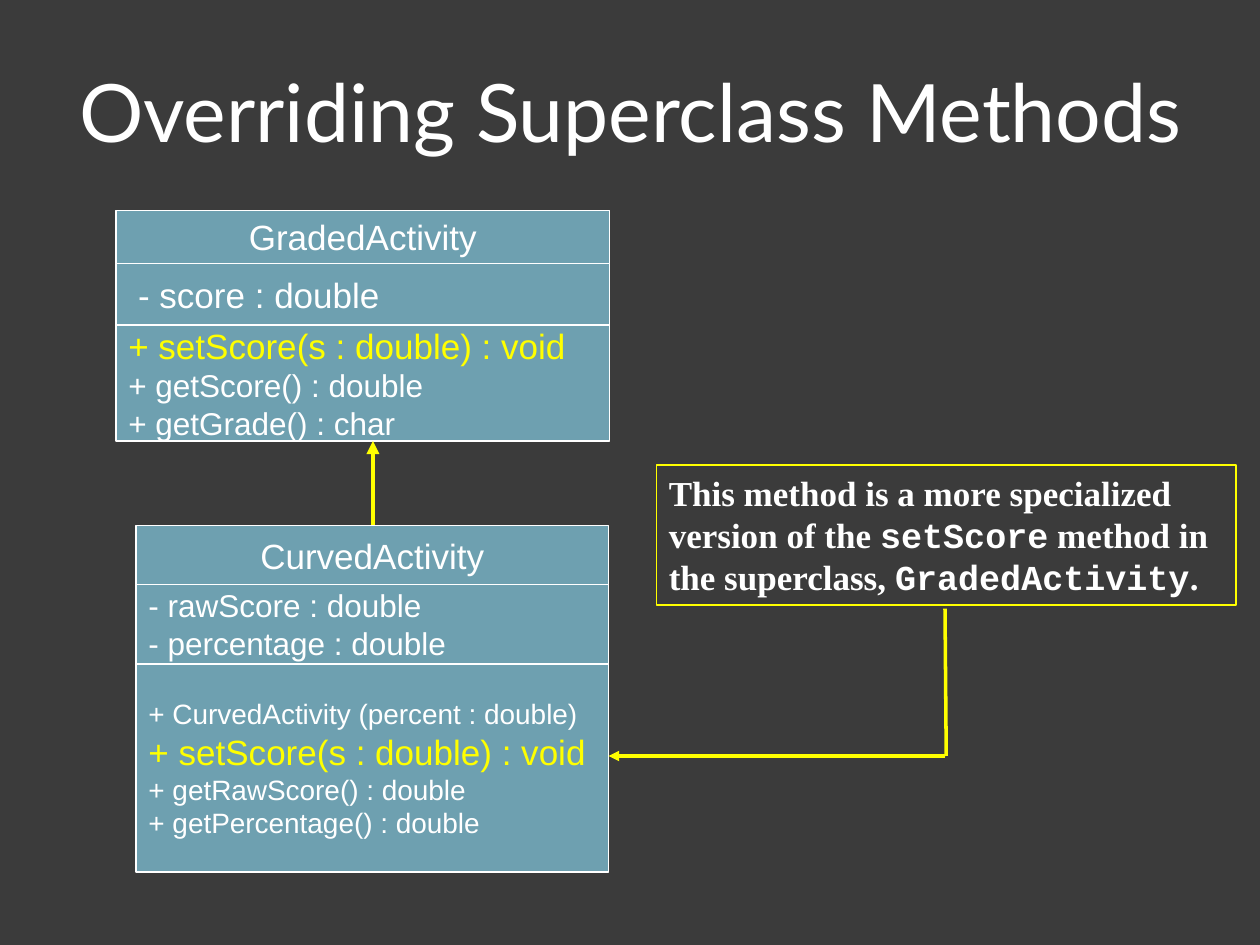
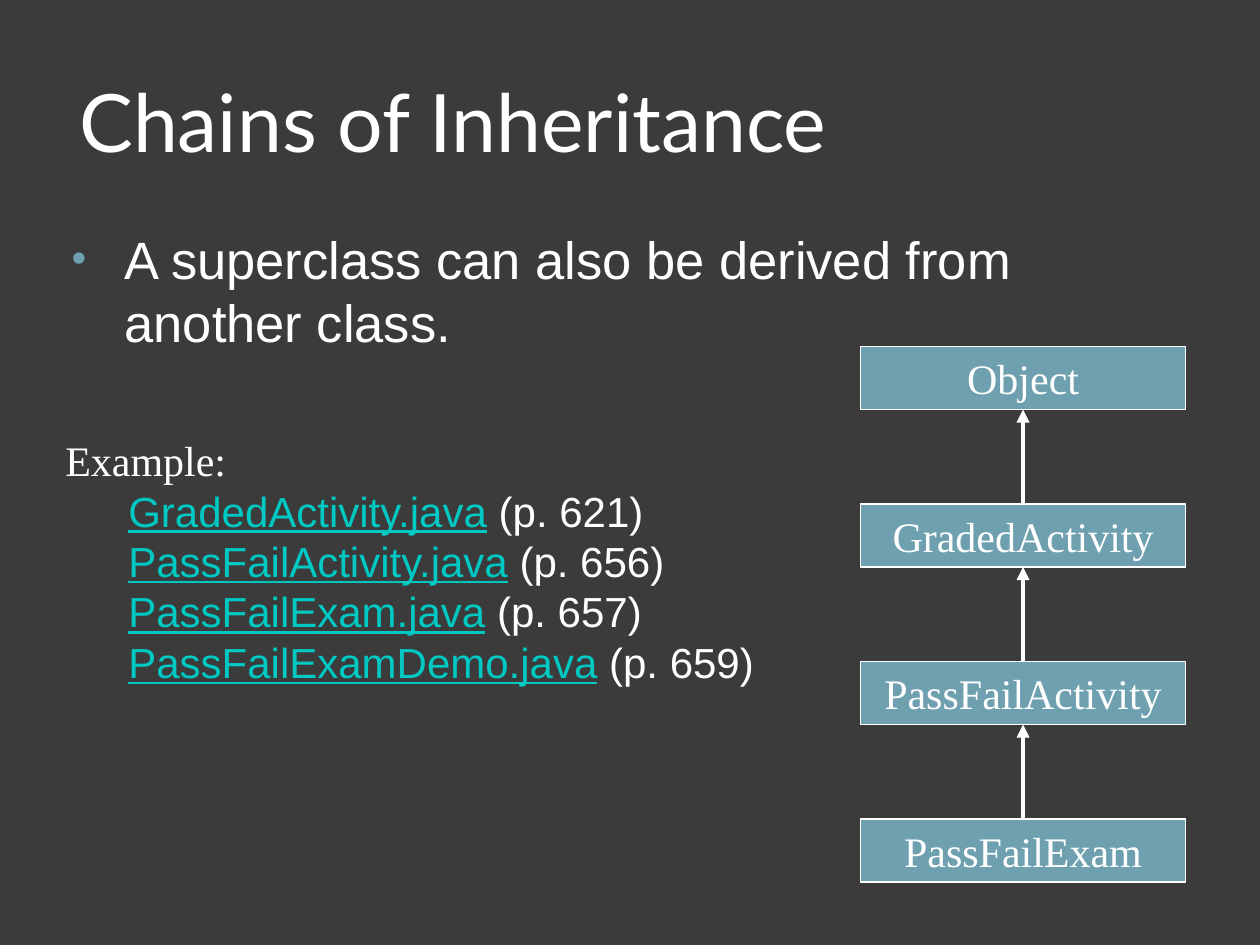
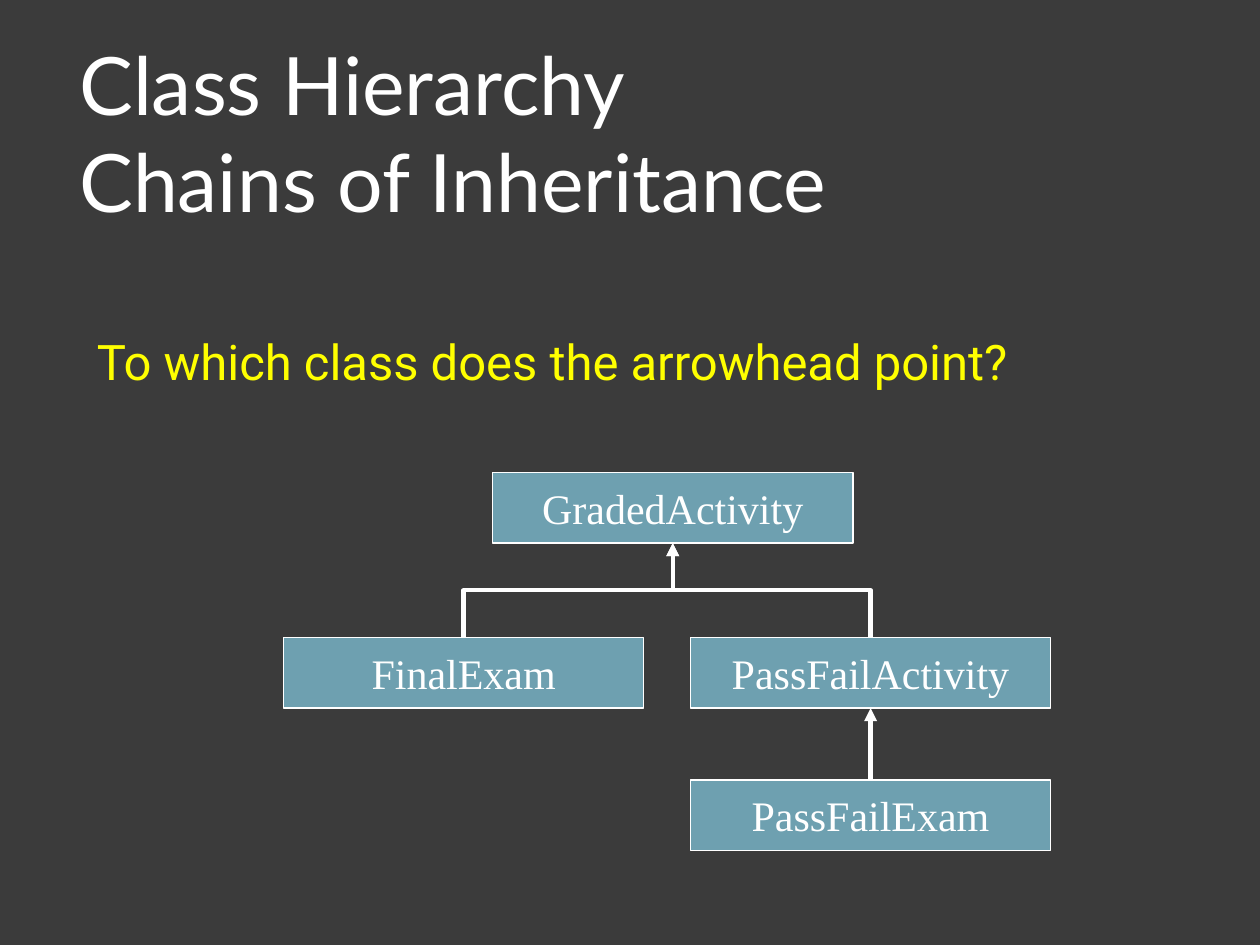
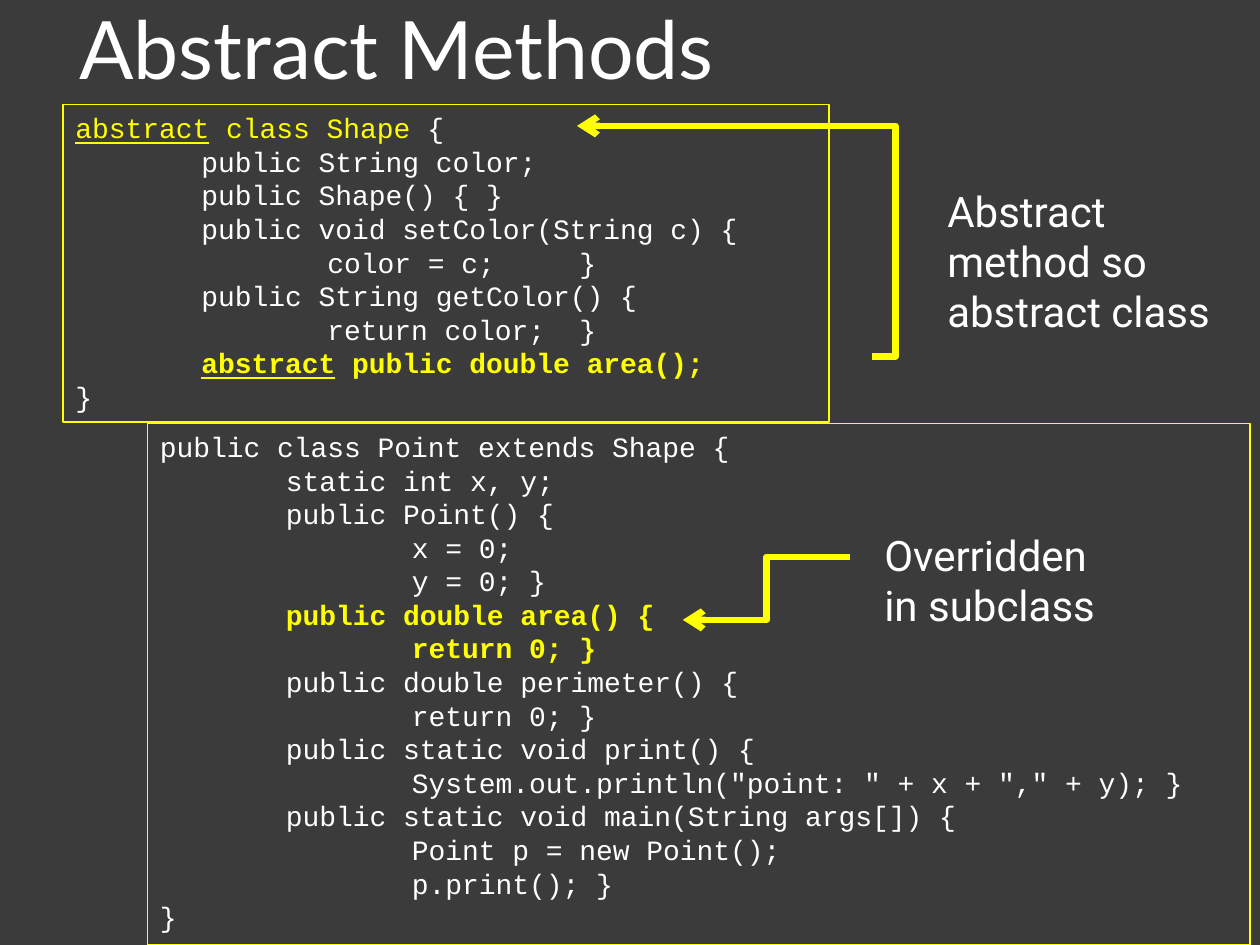
from lxml import etree
from pptx import Presentation
from pptx import util as u
from pptx.dml.color import RGBColor
from pptx.enum import shapes, text
from pptx.oxml.ns import qn

COLORS = {"back": "3B3B3B", "text": "FFFFFF", "class": "6EA0B0",
          "mark": "FFFF00", "link": "00C8C3"}
SANS, SERIF, MONO = "Arial", "Times New Roman", "Courier New"
TITLE, NOTE = "Lato", "Roboto"

# Run styles that differ from the style of the surrounding text
MARK = {"color": "mark"}
MARK_U = {"color": "mark", "underline": True}
MARK_B = {"color": "mark", "bold": True}
MARK_BU = {"color": "mark", "bold": True, "underline": True}
LINK = {"color": "link", "font": SANS, "underline": True}


def rgb(name):
    """Return a palette colour."""
    return RGBColor.from_string(COLORS[name])


def add_run(p, words, size, font, color="text", bold=False, underline=False):
    """Append a styled run; a newline becomes a line break."""
    for i, part in enumerate(words.split("\n")):
        if i:
            p.add_line_break()
        if not part:
            continue
        r = p.add_run()
        r.text = part
        r.font.size, r.font.name = u.Pt(size), font
        r.font.bold, r.font.underline = bold, underline
        r.font.color.rgb = rgb(color)


def write(sp, paras, size, font, color="text", align="LEFT", anchor="TOP"):
    """Fill a shape; a paragraph is a string or a list of (words, style)."""
    tf = sp.text_frame
    tf.word_wrap = True
    tf.vertical_anchor = getattr(text.MSO_ANCHOR, anchor)
    for i, runs in enumerate(paras):
        p = tf.add_paragraph() if i else tf.paragraphs[0]
        p.alignment = getattr(text.PP_ALIGN, align)
        for words, style in [(runs, {})] if isinstance(runs, str) else runs:
            add_run(p, words, **{"size": size, "font": font, "color": color, **style})
    return tf


def add_text(s, at, paras, size, font, **style):
    """Add a text box."""
    sp = s.shapes.add_textbox(*map(u.Inches, at))
    return write(sp, paras, size, font, **style)


def add_box(s, at, paras, size, font, fill=None, line="text", weight=0.75, **style):
    """Add an outlined rectangle with text."""
    sp = s.shapes.add_shape(shapes.MSO_SHAPE.RECTANGLE, *map(u.Inches, at))
    sp.shadow.inherit = False
    if fill:
        sp.fill.solid()
        sp.fill.fore_color.rgb = rgb(fill)
    else:
        sp.fill.background()
    sp.line.color.rgb = rgb(line)
    sp.line.width = u.Pt(weight)
    return write(sp, paras, size, font, **style)


def add_code(s, at, lines):
    """Add a framed code listing with a tab stop at every inch."""
    tf = add_box(s, at, lines, 16, MONO, line="mark")
    for p in tf.paragraphs:
        stops = etree.SubElement(p._p.get_or_add_pPr(), qn("a:tabLst"))
        for inch in range(1, 5):
            etree.SubElement(stops, qn("a:tab"), pos=str(u.Inches(inch)), algn="l")


def add_line(s, start, end, color="text", weight=2.5, head="triangle",
             kind="STRAIGHT", adj=None):
    """Add a straight or elbow connector, with an arrowhead at its end."""
    c = s.shapes.add_connector(getattr(shapes.MSO_CONNECTOR, kind),
                               *map(u.Inches, start + end))
    c.line.color.rgb = rgb(color)
    c.line.width = u.Pt(weight)
    props = c.element.spPr
    if head:
        etree.SubElement(props.find(qn("a:ln")), qn("a:tailEnd"), type=head)
    etree.SubElement(props, qn("a:effectLst"))
    if adj is not None:
        guides = props.find(qn("a:prstGeom")).get_or_add_avLst()
        etree.SubElement(guides, qn("a:gd"), name="adj1",
                         fmla=f"val {round(adj * 100000)}")
    return c


def add_riser(s, start, end):
    """Add an elbow that leaves upwards, crosses over, and arrives upwards."""
    (x1, y1), (x2, y2) = start, end
    cx, cy = (x1 + x2) / 2, (y1 + y2) / 2
    side = 1 if x1 > x2 else -1
    dx, dy = side * (y1 - y2) / 2, abs(x1 - x2) / 2
    c = add_line(s, (cx + dx, cy - dy), (cx - dx, cy + dy), kind="ELBOW")
    c.element.spPr.find(qn("a:xfrm")).set("rot", str((90 if side > 0 else 270) * 60000))


def add_class(s, x, y, w, h, name):
    """Add a one-line class box."""
    add_box(s, (x, y, w, h), [name], 24, SERIF, fill="class",
            align="CENTER", anchor="MIDDLE")


def add_uml(s, x, y, w, parts):
    """Stack the parts (height, paragraphs, size) of a class; the first is its name."""
    for i, (h, paras, size) in enumerate(parts):
        add_box(s, (x, y, w, h), paras, size, SANS, fill="class",
                align="LEFT" if i else "CENTER", anchor="MIDDLE")
        y += h


def indent(p, left, first):
    """Set the left margin and first-line indent of a paragraph."""
    ppr = p._p.get_or_add_pPr()
    ppr.set("marL", str(u.Inches(left)))
    ppr.set("indent", str(u.Inches(first)))
    return ppr


def add_slide(prs, title, top, width, height):
    """Add a slide with the shared background and title style."""
    s = prs.slides.add_slide(prs.slide_layouts[6])
    s.background.fill.solid()
    s.background.fill.fore_color.rgb = rgb("back")
    tf = add_text(s, (0.58, top, width, height), [title], 46, TITLE, anchor="MIDDLE")
    tf.margin_left = tf.margin_right = u.Inches(0.05)
    return s


def overriding(prs):
    """Build the slide on overriding methods."""
    s = add_slide(prs, "Overriding Superclass Methods", 0.33, 9.42, 1.09)
    setter = [("+ setScore(s : double) : void", {"color": "mark", "size": 20})]
    add_uml(s, 0.92, 1.67, 3.92, [
        (0.42, ["GradedActivity"], 20),
        (0.49, [" - score : double"], 20),
        (0.92, [setter, "+ getScore() : double", "+ getGrade() : char"], 18)])
    add_uml(s, 1.08, 4.17, 3.75, [
        (0.47, ["CurvedActivity"], 20),
        (0.63, ["- rawScore : double", "- percentage : double"], 18),
        (1.65, ["+ CurvedActivity (percent : double)", setter,
                "+ getRawScore() : double", "+ getPercentage() : double"], 16)])
    add_line(s, (2.96, 4.17), (2.96, 3.5), "mark")
    code = {"font": MONO, "bold": True}
    bold = {"bold": True}
    add_box(s, (5.21, 3.69, 4.6, 1.11), [[
        ("This method is a more specialized version of the ", bold),
        ("setScore", code), (" method in the superclass, ", bold),
        ("GradedActivity", code), (".", bold)]], 20, SERIF, line="mark", weight=1)
    add_line(s, (7.5, 6), (4.83, 6), "mark", 2)
    add_line(s, (7.5, 4.83), (7.51, 6), "mark", 2, head=None)


def chains(prs):
    """Build the slide on chains of inheritance."""
    s = add_slide(prs, "Chains of Inheritance", 0.33, 9, 1.25)
    tf = add_text(s, (0.43, 1.75, 9.07, 1.29),
                  ["A superclass can also be derived from another class."], 30, SANS)
    tf.paragraphs[0].space_before = u.Pt(6)
    ppr = indent(tf.paragraphs[0], 0.46, -0.42)
    color = etree.SubElement(ppr, qn("a:buClr"))
    etree.SubElement(color, qn("a:srgbClr"), val=COLORS["class"])
    etree.SubElement(ppr, qn("a:buSzPct"), val="80000")
    etree.SubElement(ppr, qn("a:buFont"), typeface=SANS)
    etree.SubElement(ppr, qn("a:buChar"), char="\u2022")

    x, y, w, h, step = 6.83, 2.75, 2.58, 0.5, 1.25
    names = ["Object", "GradedActivity", "PassFailActivity", "PassFailExam"]
    for i, name in enumerate(names):
        top = y + i * step
        add_class(s, x, top, w, h, name)
        if i:
            add_line(s, (x + w / 2, top), (x + w / 2, top - step + h))

    runs = [("Example:", {})]
    for name, page in [("GradedActivity", 621), ("PassFailActivity", 656),
                       ("PassFailExam", 657), ("PassFailExamDemo", 659)]:
        runs += [("\n", {}), (name + ".java", LINK), (f" (p. {page})", {"font": SANS})]
    tf = add_text(s, (0.42, 3.4, 5.92, 2.12), [runs], 24, SERIF)
    indent(tf.paragraphs[0], 0.5, -0.5)


def hierarchy(prs):
    """Build the class hierarchy slide."""
    s = add_slide(prs, "Class Hierarchy\nChains of Inheritance", 0.42, 9.08, 1.25)
    w, h = 2.86, 0.56
    places = {"PassFailActivity": (5.48, 5.06), "PassFailExam": (5.48, 6.19),
              "GradedActivity": (3.91, 3.75), "FinalExam": (2.25, 5.06)}
    for name, (x, y) in places.items():
        add_class(s, x, y, w, h, name)
    top = {name: (x + w / 2, y) for name, (x, y) in places.items()}
    base = {name: (x + w / 2, y + h) for name, (x, y) in places.items()}
    add_line(s, top["PassFailExam"], base["PassFailActivity"])
    for name in ("PassFailActivity", "FinalExam"):
        add_riser(s, top[name], base["GradedActivity"])
    add_text(s, (0.67, 2.58, 7.97, 0.57),
             ["To which class does the arrowhead point?"], 28, NOTE, color="mark")


def abstract_methods(prs):
    """Build the slide with the two code listings."""
    s = add_slide(prs, "Abstract Methods", -0.17, 9.42, 1.09)
    add_code(s, (0.5, 0.83, 6.08, 2.52), [
        [("abstract", MARK_U), (" class Shape ", MARK), ("{", {})],
        "\tpublic String color;",
        "\tpublic Shape() { }",
        "\tpublic void setColor(String c) {",
        "\t\tcolor = c; \t}",
        "\tpublic String getColor() {",
        "\t\treturn color; \t}",
        [("\t", {}), ("abstract", MARK_BU), (" public double area();", MARK_B)],
        "}"])
    add_code(s, (1.17, 3.36, 8.75, 4.14), [
        "public class Point extends Shape {",
        "\tstatic int x, y;",
        "\tpublic Point() {",
        "\t\tx = 0;",
        "\t\ty = 0; }",
        [("\tpublic double area() {", MARK_B)],
        [("\t\treturn 0; }", MARK_B)],
        "\tpublic double perimeter() {",
        "\t\treturn 0; }",
        "\tpublic static void print() {",
        '\t\tSystem.out.println("point: " + x + "," + y); }',
        "\tpublic static void main(String args[]) {",
        "\t\tPoint p = new Point();",
        "\t\tp.print(); }",
        "}"])
    add_line(s, (6.92, 2.83), (4.58, 1), "mark", 3.75, "arrow", "ELBOW", -0.08)
    add_text(s, (7.42, 1.42, 2.58, 1.31),
             ["Abstract method so abstract class"], 24, NOTE)
    add_text(s, (6.92, 4.15, 2.58, 0.91), ["Overridden", "in subclass"], 24, NOTE)
    add_line(s, (6.75, 4.42), (5.42, 4.92), "mark", 3.75, "arrow", "ELBOW", 0.5)


def main():
    """Build and save the presentation."""
    prs = Presentation()
    prs.slide_width, prs.slide_height = u.Inches(10), u.Inches(7.5)
    for build in (overriding, chains, hierarchy, abstract_methods):
        build(prs)
    prs.save("out.pptx")


main()
